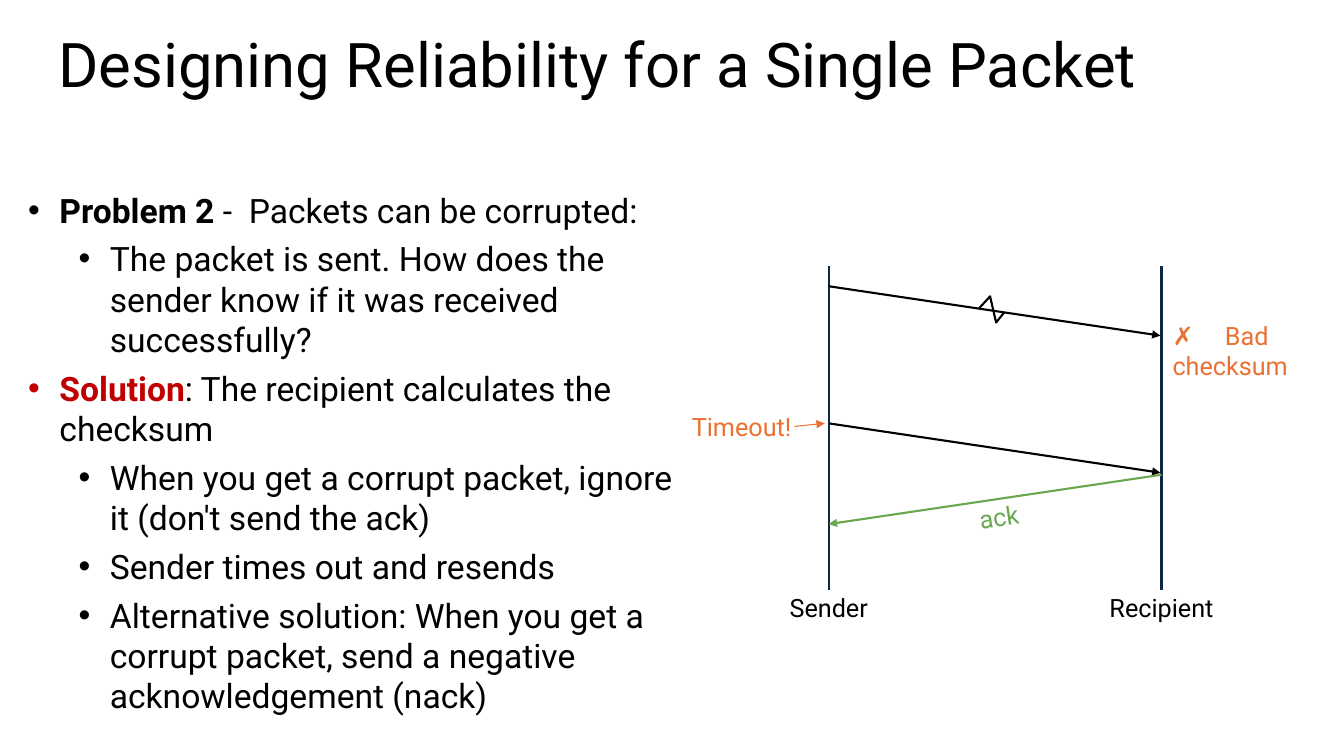
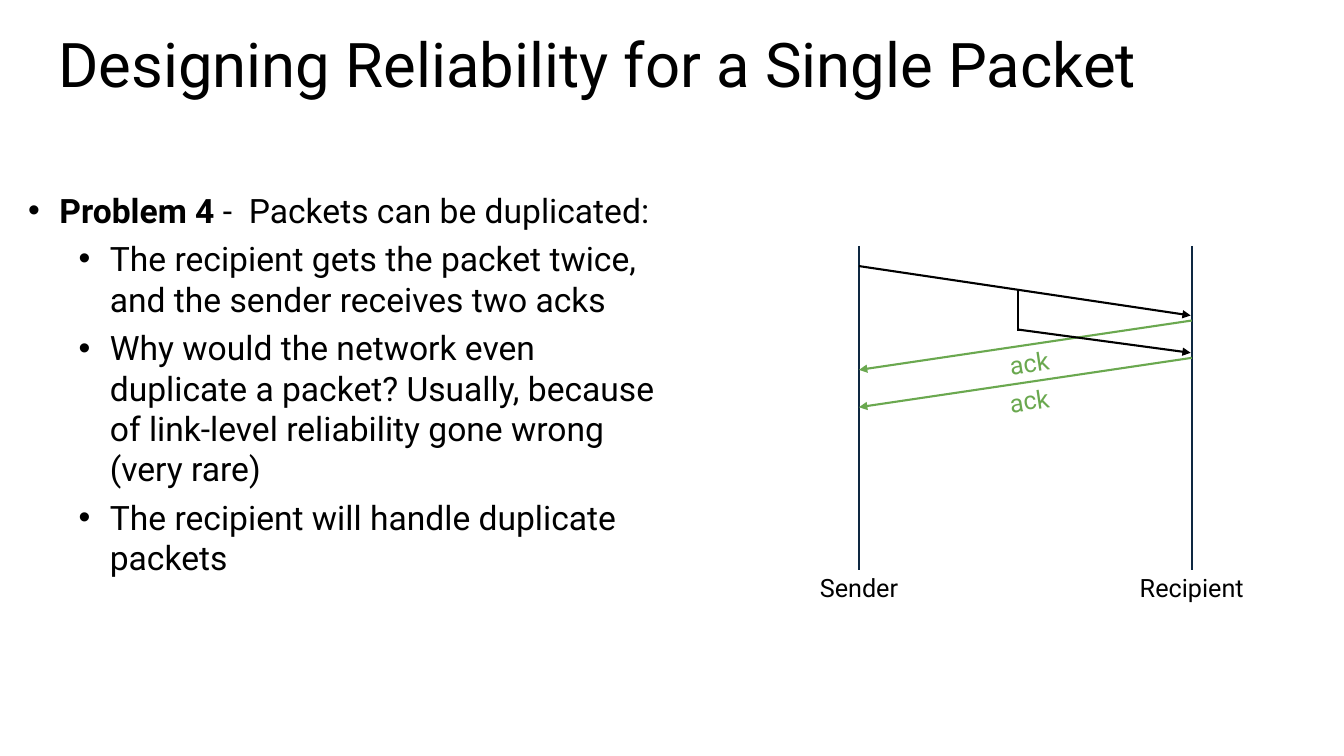
from dataclasses import dataclass
from lxml import etree
from pptx import Presentation, util as u
from pptx.dml.color import RGBColor
from pptx.enum import shapes, text
from pptx.oxml.ns import qn


@dataclass(frozen=True)
class Theme:
    font: str = "Roboto"
    ink: str = "000000"
    red: str = "C00000"
    green: str = "6AA84F"
    orange: str = "E97132"
    navy: str = "0E2841"
    title: int = 44
    body: int = 24
    label: int = 18
    thick: float = 1.5
    thin: float = 0.75


T = Theme()
W, H = 13.33, 7.5
SPAN, DROP, LIFE = 3.3, 0.49, 3.21
TILT = -8.5
TITLE_BOX = (0.45, 0.21, 12.42, 1.22)
BODY_BOX = (0.18, 1.83, 6.63, 5.37)
HEADING = "Designing Reliability for a Single Packet"

SLIDES = [
    dict(
        origin=(8.22, 2.64),
        bullets=[
            (0, "Problem 2 ", T.ink, "-\u00a0 Packets can be corrupted:".replace("\u00a0", " ")),
            (1, "", T.ink, "The packet is sent. How does the sender know if it was received successfully?"),
            (0, "Solution", T.red, ": The recipient calculates the checksum"),
            (1, "", T.ink, "When you get a corrupt packet, ignore it (don't send the ack)"),
            (1, "", T.ink, "Sender times out and resends"),
            (1, "", T.ink, "Alternative solution: When you get a corrupt packet, "
                           "send a negative acknowledgement (nack)"),
        ],
        packets=[0.2, 1.56],
        acks=[2.07],
        corrupted=True,
    ),
    dict(
        origin=(8.52, 2.44),
        bullets=[
            (0, "Problem 4 ", T.ink, "-  Packets can be duplicated:"),
            (1, "", T.ink, "The recipient gets the packet twice, and the sender receives two acks"),
            (1, "", T.ink, "Why would the network even duplicate a packet? Usually, because "
                           "of link-level reliability gone wrong (very rare)"),
            (1, "", T.ink, "The recipient will handle duplicate packets"),
        ],
        packets=[0.2],
        acks=[0.74, 1.11],
        duplicated=True,
    ),
]
SLIDES[0]["bullets"][0] = (0, "Problem 2 ", T.ink, "-  Packets can be corrupted:")


def assign(obj, **values):
    for name, value in values.items():
        setattr(obj, name, value)


def place(sp, box):
    assign(sp, **dict(zip(("left", "top", "width", "height"), map(u.Inches, box))))


def add_run(p, words, size, color=T.ink, bold=False):
    r = p.add_run()
    r.text = words
    assign(r.font, name=T.font, size=u.Pt(size), bold=bold)
    r.font.color.rgb = RGBColor.from_string(color)


def set_bullet(p, level):
    pPr = p._p.get_or_add_pPr()
    pPr.set("marL", str(u.Inches(0.31 + 0.5 * level)))
    pPr.set("indent", str(u.Inches(-0.31)))
    etree.SubElement(pPr, qn("a:buFont")).set("typeface", "Arial")
    etree.SubElement(pPr, qn("a:buChar")).set("char", "•")


class Diagram:
    def __init__(self, s, origin):
        self.shapes = s.shapes
        self.x, self.y = origin

    def line(self, start, end, color=T.ink, width=T.thick, arrow=True):
        points = [u.Inches(v) for x, y in (start, end) for v in (self.x + x, self.y + y)]
        cx = self.shapes.add_connector(shapes.MSO_CONNECTOR.STRAIGHT, *points)
        cx.line.color.rgb = RGBColor.from_string(color)
        cx.line.width = u.Pt(width)
        if arrow:
            etree.SubElement(cx.line._get_or_add_ln(), qn("a:tailEnd")).set("type", "triangle")
        etree.SubElement(cx._element.spPr, qn("a:effectLst"))
        return cx

    def label(self, box, runs, align, rotation=0, tab=None):
        x, y, w, h = box
        sp = self.shapes.add_textbox(*map(u.Inches, (self.x + x, self.y + y, w, h)))
        sp.rotation = rotation
        tf = sp.text_frame
        assign(tf, word_wrap=True, **{"margin_" + side: u.Inches(0.03)
                                      for side in ("left", "top", "right", "bottom")})
        p = tf.paragraphs[0]
        p.alignment = align
        if tab:
            stops = etree.SubElement(p._p.get_or_add_pPr(), qn("a:tabLst"))
            stop = etree.SubElement(stops, qn("a:tab"))
            stop.set("pos", str(u.Inches(tab)))
            stop.set("algn", "l")
        for words, color, bold in runs:
            add_run(p, words, T.label, color, bold)
        return sp

    def lifelines(self):
        for x, name in ((0, "Sender"), (SPAN, "Recipient")):
            sp = self.label((x - 0.65, LIFE, 1.3, 0.3), [(name, T.ink, False)], text.PP_ALIGN.CENTER)
            self.line((x, 0), (x, LIFE), T.navy, arrow=False).end_connect(sp, 0)

    def packet(self, y):
        self.line((0, y), (SPAN - 0.01, y + DROP))

    def ack(self, y):
        self.line((SPAN, y), (0, y + DROP), T.green)
        self.label((1.45, y + 0.24, 0.47, 0.31), [("ack", T.green, False)], text.PP_ALIGN.CENTER, TILT)

    def corruption(self):
        zigzag = [(u.Inches(self.x + x), u.Inches(self.y + y))
                  for x, y in ((1.49, 0.42), (1.6, 0.3), (1.66, 0.56), (1.74, 0.46))]
        fb = self.shapes.build_freeform(*zigzag[0])
        fb.add_line_segments(zigzag[1:], close=False)
        sp = fb.convert_to_shape()
        sp.shadow.inherit = False
        sp.fill.background()
        sp.line.color.rgb = RGBColor.from_string(T.ink)
        sp.line.width = u.Pt(T.thick)
        self.label((SPAN + 0.08, 0.51, 1.7, 0.67),
                   [("✗\t", T.orange, True), ("Bad checksum", T.orange, False)],
                   text.PP_ALIGN.LEFT, tab=0.52)
        sp = self.label((-1.55, 1.41, 1.21, 0.36), [("Timeout!", T.orange, False)], text.PP_ALIGN.RIGHT)
        self.line((-0.34, 1.59), (-0.04, 1.56), T.orange, T.thin).begin_connect(sp, 3)

    def duplication(self):
        self.line((1.58, 0.43), (1.58, 0.84), arrow=False)
        self.line((1.58, 0.83), (SPAN - 0.01, 1.06))


def fill_text(s, bullets):
    title, body = s.placeholders[0].text_frame, s.placeholders[1].text_frame
    assign(title, vertical_anchor=text.MSO_ANCHOR.TOP, auto_size=text.MSO_AUTO_SIZE.NONE,
           **{"margin_" + side: u.Inches(0.13) for side in ("left", "top", "right", "bottom")})
    p = title.paragraphs[0]
    assign(p, alignment=text.PP_ALIGN.LEFT, line_spacing=0.9)
    add_run(p, HEADING, T.title)
    body.auto_size = text.MSO_AUTO_SIZE.NONE
    for i, (level, lead, color, words) in enumerate(bullets):
        p = body.add_paragraph() if i else body.paragraphs[0]
        assign(p, level=level, space_before=u.Pt(0), space_after=u.Pt(6))
        set_bullet(p, level)
        if lead:
            add_run(p, lead, T.body, color, True)
        add_run(p, words, T.body)


def main():
    prs = Presentation()
    assign(prs, slide_width=u.Inches(W), slide_height=u.Inches(H))
    layout = prs.slide_layouts[1]
    for sp, box in zip(layout.placeholders, (TITLE_BOX, BODY_BOX)):
        place(sp, box)
    for content in SLIDES:
        s = prs.slides.add_slide(layout)
        fill_text(s, content["bullets"])
        d = Diagram(s, content["origin"])
        d.lifelines()
        for y in content["packets"]:
            d.packet(y)
        for y in content["acks"]:
            d.ack(y)
        if content.get("corrupted"):
            d.corruption()
        if content.get("duplicated"):
            d.duplication()
    prs.save("out.pptx")


if __name__ == "__main__":
    main()
